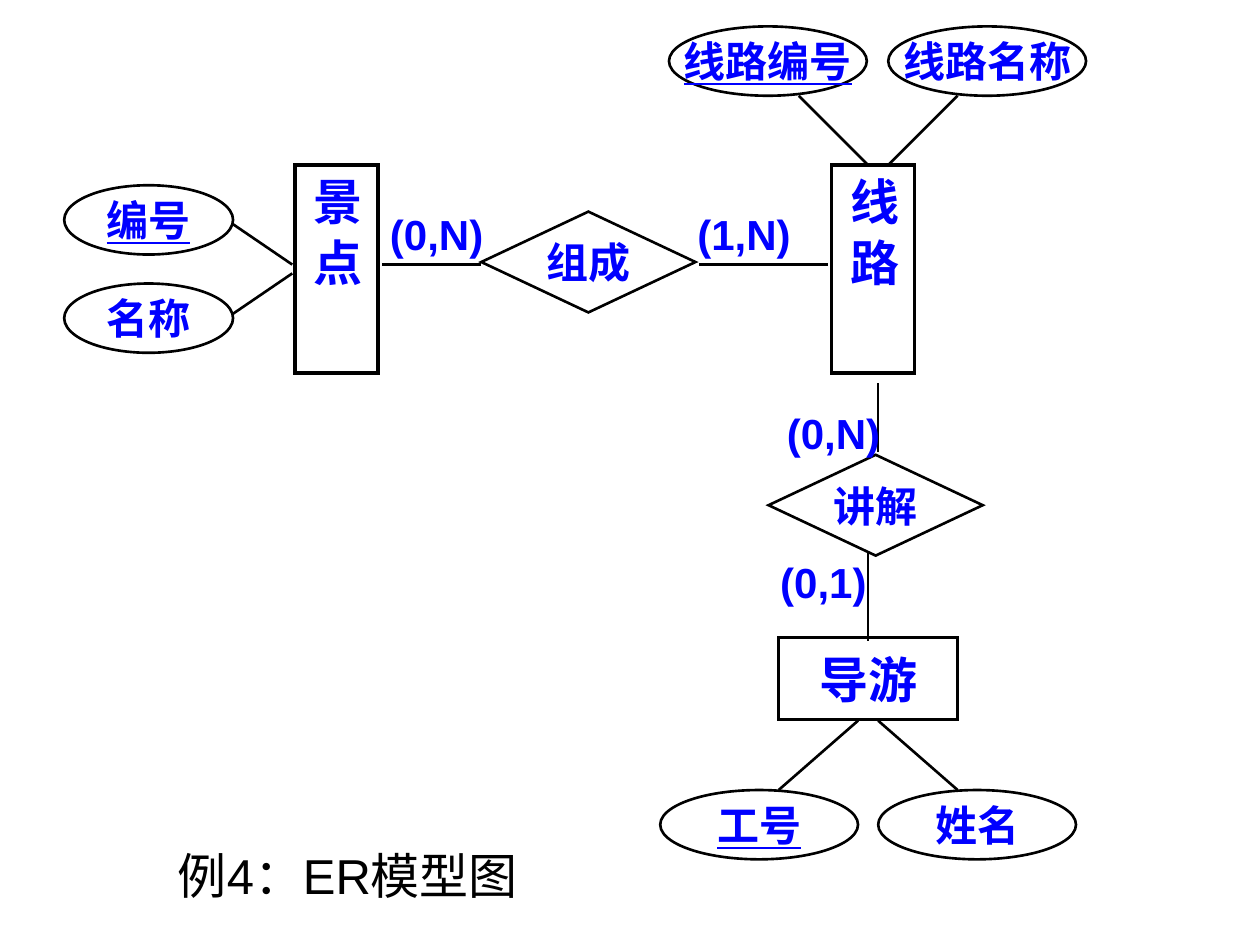
from dataclasses import dataclass

from lxml import etree
from pptx import Presentation
from pptx.dml.color import RGBColor
from pptx.enum.shapes import MSO_CONNECTOR, MSO_SHAPE
from pptx.enum.text import MSO_ANCHOR, MSO_AUTO_SIZE, PP_ALIGN
from pptx.oxml.ns import qn
from pptx.util import Emu, Pt

RECTANGLE = MSO_SHAPE.RECTANGLE
OVAL = MSO_SHAPE.OVAL
DIAMOND = MSO_SHAPE.DIAMOND
STRAIGHT = MSO_CONNECTOR.STRAIGHT
MIDDLE, TOP = MSO_ANCHOR.MIDDLE, MSO_ANCHOR.TOP
GROW = MSO_AUTO_SIZE.SHAPE_TO_FIT_TEXT
CENTER = PP_ALIGN.CENTER

PX = 9144  # 100 px to the inch


@dataclass(frozen=True)
class Theme:
    ink: RGBColor = RGBColor(0, 0, 0)
    label: RGBColor = RGBColor(0, 0, 255)
    latin: str = "Arial"
    chinese: str = "Noto Sans CJK SC"
    large: int = 28
    small: int = 24
    thick: float = 2
    thin: float = 1.5


THEME = Theme()


def px(*lengths):
    return [Emu(length * PX) for length in lengths]


def write(shape, text, size, font, color=THEME.label, bold=True, underline=False,
          insets=(10, 5), space=0, anchor=MIDDLE, wrap=True):
    """Put one centred, formatted line of text into a shape."""
    frame = shape.text_frame
    frame.text = text
    frame.word_wrap = wrap
    frame.vertical_anchor = anchor
    frame.margin_left = frame.margin_right = px(insets[0])[0]
    frame.margin_top = frame.margin_bottom = px(insets[1])[0]
    para = frame.paragraphs[0]
    para.alignment = CENTER
    para.space_before = Pt(space)
    span = para.runs[0]
    span.font.size = Pt(size)
    span.font.bold = bold
    span.font.underline = underline
    span.font.color.rgb = color
    span.font.name = font
    east_asian = etree.SubElement(span.font._element, qn("a:ea"))
    east_asian.set("typeface", THEME.chinese)


def add_outline(page, kind, bounds, width):
    shape = page.shapes.add_shape(kind, *px(*bounds))
    shape.shadow.inherit = False
    shape.fill.background()
    shape.line.color.rgb = THEME.ink
    shape.line.width = Pt(width)
    # Sharp corners
    miter = etree.SubElement(shape._element.spPr.find(qn("a:ln")), qn("a:miter"))
    miter.set("lim", "800000")
    return shape


def add_entity(page, text, bounds, vertical=False):
    box = add_outline(page, RECTANGLE, bounds, THEME.thick)
    insets = (9, 10) if vertical else (10, 9)
    write(box, text, THEME.large, THEME.chinese, insets=insets, space=17.5)
    box.text_frame.auto_size = GROW
    if vertical:
        box.text_frame._txBody.bodyPr.set("vert", "eaVert")


def add_attribute(page, text, left, top, width, key=False):
    oval = add_outline(page, OVAL, (left, top, width, 55), THEME.thin)
    write(oval, text, THEME.small, THEME.chinese, underline=key, wrap=False)


def add_relationship(page, text, left, top):
    diamond = add_outline(page, DIAMOND, (left, top, 170, 80), THEME.thin)
    write(diamond, text, THEME.small, THEME.chinese, insets=(0, 0), space=15)


def add_cardinality(page, text, left, top):
    box = page.shapes.add_textbox(*px(left, top, 75, 31))
    write(box, text, THEME.small, THEME.latin, insets=(0, 0), wrap=False)


def add_link(page, *ends):
    link = page.shapes.add_connector(STRAIGHT, *px(*ends))
    link.line.color.rgb = THEME.ink
    link.line.width = Pt(THEME.thin)
    etree.SubElement(link._element.spPr, qn("a:effectLst"))


def add_caption(page, text):
    box = page.shapes.add_textbox(*px(12, 666, 528, 57))
    write(box, text, THEME.large, THEME.latin, THEME.ink, bold=False,
          space=17.5, anchor=TOP)


def main():
    deck = Presentation()
    deck.slide_width, deck.slide_height = px(1000, 750)
    page = deck.slides.add_slide(deck.slide_layouts[6])

    # Entities
    add_entity(page, "景 点", (234, 131, 66, 165), vertical=True)
    add_entity(page, "线 路", (660, 131, 66, 165), vertical=True)
    add_entity(page, "导游", (618, 506, 142, 65))

    # Attributes, with the keys underlined
    for text, left, top, width, key in (
        ("编号", 51, 147, 134, True),
        ("名称", 51, 225, 134, False),
        ("线路编号", 531, 21, 157, True),
        ("线路名称", 705, 21, 157, False),
        ("工号", 524, 627, 157, True),
        ("姓名", 697, 627, 157, False),
    ):
        add_attribute(page, text, left, top, width, key)

    # Relationships
    add_relationship(page, "组成", 382, 168)
    add_relationship(page, "讲解", 610, 361)

    # Links from attributes to entities, then from entities to relationships
    for ends in (
        (185, 178, 232, 210), (185, 249, 232, 217),
        (634, 76, 689, 131), (760, 76, 705, 131),
        (618, 627, 681, 572), (760, 627, 697, 572),
        (303, 210, 382, 210), (555, 210, 657, 210),
        (697, 304, 697, 359), (689, 438, 689, 509),
    ):
        add_link(page, *ends)

    # Cardinalities
    for text, left, top in (
        ("(0,N)", 309, 170), ("(1,N)", 553, 170),
        ("(0,N)", 624, 328), ("(0,1)", 616, 446),
    ):
        add_cardinality(page, text, left, top)

    add_caption(page, "例4：ER模型图")
    deck.save("out.pptx")


if __name__ == "__main__":
    main()
